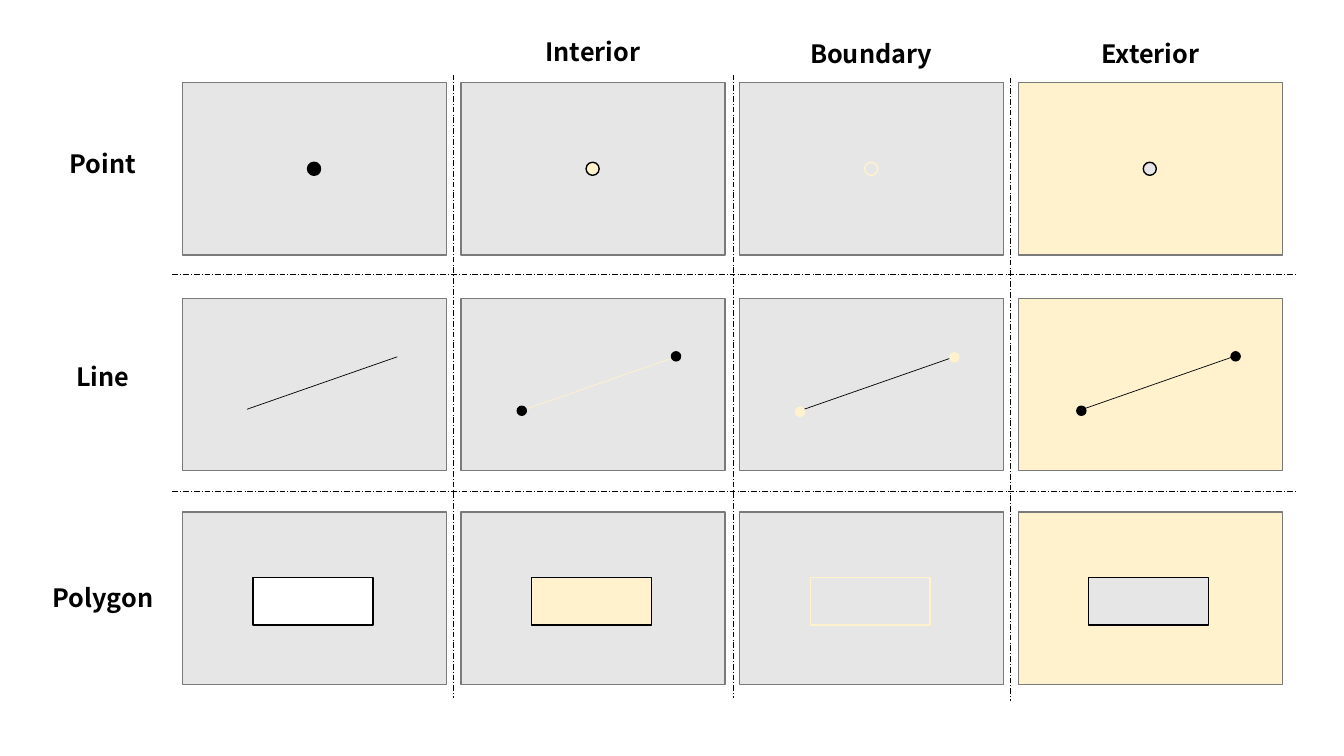
import pptx
import pptx.util
import pptx.dml.color
import pptx.enum.dml
import pptx.enum.shapes
import pptx.enum.text
import lxml.etree
from pptx.util import Inches

COLORS = {"black": "000000", "white": "FFFFFF", "gray": "E7E6E6",
          "cream": "FFF2CC", "edge": "7A7A7A"}
SHAPES = pptx.enum.shapes.MSO_SHAPE

prs = pptx.Presentation()
prs.slide_width = Inches(13.33)
prs.slide_height = Inches(7.5)
slide = prs.slides.add_slide(prs.slide_layouts[6])


def add_box(kind, x, y, w, h, fill, line):
    sp = slide.shapes.add_shape(kind, Inches(x), Inches(y), Inches(w), Inches(h))
    sp.shadow.inherit = False
    sp.fill.solid()
    sp.fill.fore_color.rgb = pptx.dml.color.RGBColor.from_string(COLORS[fill])
    sp.line.color.rgb = pptx.dml.color.RGBColor.from_string(COLORS[line])
    sp.line.width = pptx.util.Pt(1)


def add_line(x1, y1, x2, y2, color, dash=None):
    cxn = slide.shapes.add_connector(
        pptx.enum.shapes.MSO_CONNECTOR.STRAIGHT,
        Inches(x1), Inches(y1), Inches(x2), Inches(y2))
    cxn.line.color.rgb = pptx.dml.color.RGBColor.from_string(COLORS[color])
    cxn.line.width = pptx.util.Pt(0.5)
    cxn.line.dash_style = dash
    lxml.etree.SubElement(cxn._element.spPr, pptx.oxml.ns.qn("a:effectLst"))


left, pitch = 1.81, 2.763
row_tops = [0.82, 2.96, 5.08]

columns = [
    ("gray", "black", "black", "black", "white", "black"),
    ("gray", "cream", "black", "cream", "cream", "black"),
    ("gray", "gray", "cream", "black", "gray", "cream"),
    ("cream", "gray", "black", "black", "gray", "black"),
]
for i, (panel, point, point_edge, segment, polygon, polygon_edge) in enumerate(columns):
    x = left + i * pitch
    for y in row_tops:
        add_box(SHAPES.RECTANGLE, x, y, 2.62, 1.71, panel, "edge")
    add_box(SHAPES.OVAL, x + 1.24, 1.61, 0.13, 0.13, point, point_edge)
    add_line(x + 0.64, 4.06, x + 2.13, 3.54, segment)
    add_box(SHAPES.RECTANGLE, x + 0.7, 5.73, 1.19, 0.47, polygon, polygon_edge)

dash = pptx.enum.dml.MSO_LINE.LONG_DASH_DOT
for x, y in [(4.5, 0.74), (7.27, 0.74), (10.02, 0.77)]:
    add_line(x, y, x, y + 6.18, "black", dash)
for y in [2.72, 4.87]:
    add_line(1.71, y, 12.86, y, "black", dash)

for x, y, color in [(5.13, 4.03, "black"), (7.89, 4.04, "cream"), (10.68, 4.03, "black")]:
    for dx, dy in [(0, 0), (1.53, -0.54)]:
        add_box(SHAPES.OVAL, x + dx, y + dy, 0.09, 0.09, color, color)

labels = [
    ("Point", 0.23, 1.42), ("Line", 0.23, 3.54), ("Polygon", 0.23, 5.73),
    ("Interior", 5.09, 0.31), ("Boundary", 7.85, 0.33), ("Exterior", 10.62, 0.33),
]
for text, x, y in labels:
    tf = slide.shapes.add_textbox(Inches(x), Inches(y), Inches(1.58), Inches(0.4)).text_frame
    tf.word_wrap = True
    tf.auto_size = pptx.enum.text.MSO_AUTO_SIZE.SHAPE_TO_FIT_TEXT
    p = tf.paragraphs[0]
    p.alignment = pptx.enum.text.PP_ALIGN.CENTER
    r = p.add_run()
    r.text = text
    r.font.name = "Noto Sans CJK SC"
    r.font.size = pptx.util.Pt(18)
    r.font.bold = True
    r.font.color.rgb = pptx.dml.color.RGBColor.from_string(COLORS["black"])

prs.save("out.pptx")
